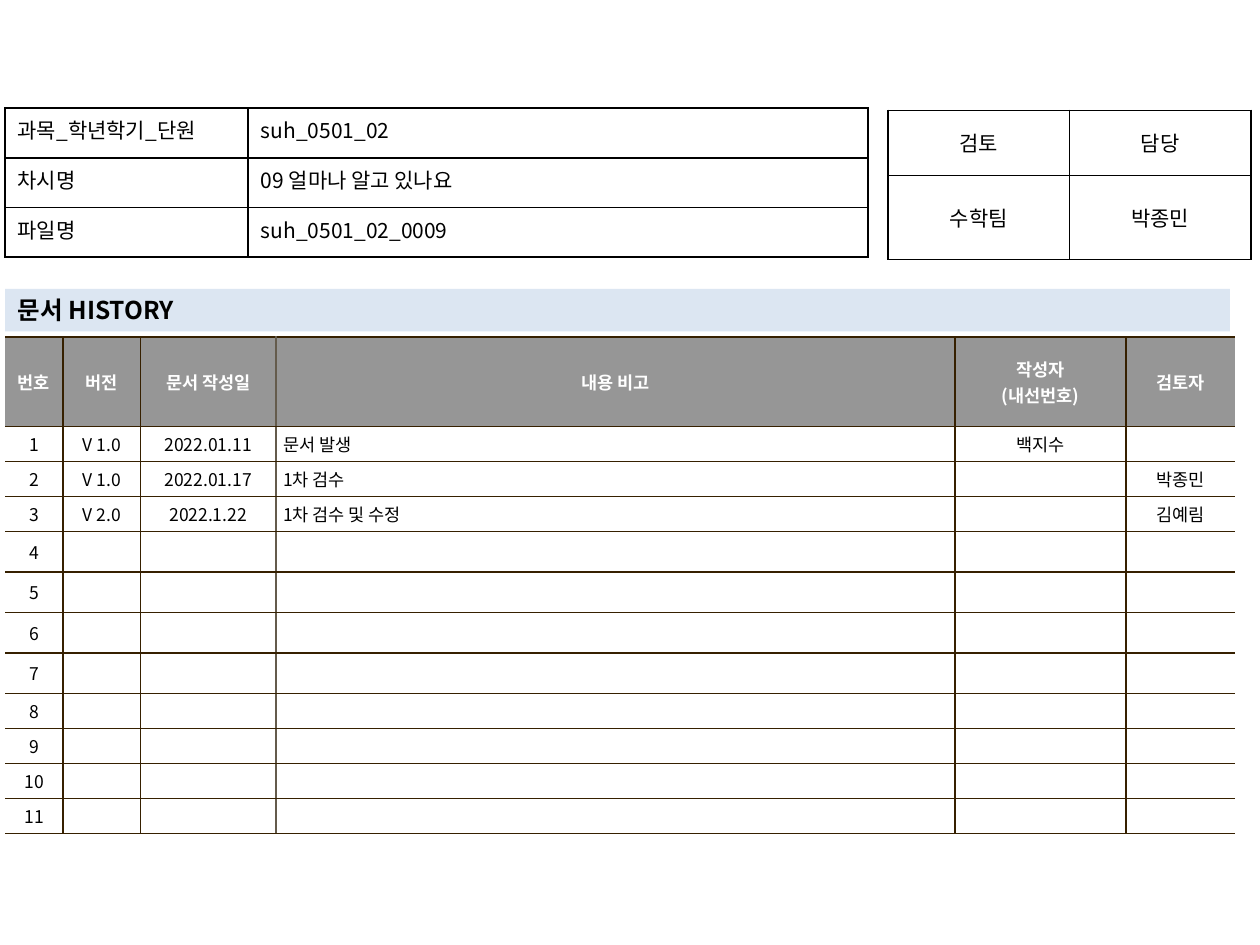
from dataclasses import dataclass

from lxml import etree
from pptx import Presentation
from pptx.dml.color import RGBColor
from pptx.enum import text
from pptx.oxml import ns
from pptx.util import Pt

ALIGN = text.PP_ALIGN
ANCHOR = text.MSO_ANCHOR


@dataclass(frozen=True)
class Theme:
    font: str = "Noto Sans CJK KR"
    ink: str = "000000"
    paper: str = "FFFFFF"
    header: str = "969696"
    band: str = "DCE6F2"
    rule: str = "362000"
    soft_rule: str = "645B4C"
    small: float = 10
    medium: float = 12
    large: float = 14


def set_values(target, values):
    for name, value in values.items():
        setattr(target, name, value)


class Sheet:
    def __init__(self, deck, theme):
        self.theme = theme
        self.page = deck.slides.add_slide(deck.slide_layouts[5])

    def fill_text(self, frame, words, size, color, bold, align):
        frame.text = words
        for para in frame.paragraphs:
            para.alignment = align
            for span in para.runs:
                set_values(span.font, {"size": Pt(size), "bold": bold})
                span.font.color.rgb = RGBColor.from_string(color)
                span.font.name = self.theme.font
                latin = span.font._element.find(ns.qn("a:latin"))
                east = etree.Element(ns.qn("a:ea"), typeface=self.theme.font)
                latin.addnext(east)
            if not para.runs:
                etree.SubElement(para._p, ns.qn("a:endParaRPr"), sz=str(int(size * 100)))

    def heading(self, words, left, top, width, height):
        box = self.page.shapes.title
        set_values(box, {"left": Pt(left), "top": Pt(top),
                         "width": Pt(width), "height": Pt(height)})
        box.fill.solid()
        box.fill.fore_color.rgb = RGBColor.from_string(self.theme.band)
        set_values(box.text_frame, {"auto_size": text.MSO_AUTO_SIZE.NONE,
                                    "word_wrap": True,
                                    "vertical_anchor": ANCHOR.MIDDLE})
        self.fill_text(box.text_frame, words, self.theme.large, self.theme.ink, True, ALIGN.LEFT)

    def grid(self, left, top, widths, heights):
        frame = self.page.shapes.add_table(len(heights), len(widths), Pt(left), Pt(top),
                                           Pt(sum(widths)), Pt(sum(heights)))
        table = frame.table
        set_values(table, {"first_row": False, "horz_banding": False})
        for column, width in zip(table.columns, widths):
            column.width = Pt(width)
        for row, height in zip(table.rows, heights):
            row.height = Pt(height)
        return table

    def cell(self, cell, words, size, color, align, anchor=ANCHOR.MIDDLE,
             fill=None, bold=False, margins=(7.2, 3.6)):
        side, end = map(Pt, margins)
        set_values(cell, {"margin_left": side, "margin_right": side,
                          "margin_top": end, "margin_bottom": end,
                          "vertical_anchor": anchor})
        if fill:
            cell.fill.solid()
            cell.fill.fore_color.rgb = RGBColor.from_string(fill)
        else:
            cell.fill.background()
        self.fill_text(cell.text_frame, words, size, color, bold, align)

    def borders(self, cell, left, right, rule):
        properties = cell._tc.get_or_add_tcPr()
        sides = {"L": left, "R": right, "T": rule, "B": rule}
        for index, (side, color) in enumerate(sides.items()):
            line = etree.Element(ns.qn(f"a:ln{side}"), w=str(Pt(1)))
            if color:
                solid = etree.SubElement(line, ns.qn("a:solidFill"))
                etree.SubElement(solid, ns.qn("a:srgbClr"), val=color)
            else:
                etree.SubElement(line, ns.qn("a:noFill"))
            properties.insert(index, line)

    def form(self, left, top, widths, heights, rows, aligns, anchor):
        ink = self.theme.ink
        table = self.grid(left, top, widths, heights)
        for y, row in enumerate(rows):
            for x, words in enumerate(row):
                cell = table.cell(y, x)
                self.cell(cell, words, self.theme.medium, ink, aligns[x], anchor)
                self.borders(cell, ink, ink, ink)

    def history(self, left, top, widths, heights, rows, note_column):
        theme = self.theme
        table = self.grid(left, top, widths, heights)
        rules = [None] + [theme.rule] * (len(widths) - 1) + [None]
        rules[note_column] = theme.soft_rule
        for y, row in enumerate(rows):
            is_header = y == 0
            fill, color = (theme.header, theme.paper) if is_header else (theme.paper, theme.ink)
            for x, words in enumerate(row):
                is_note = x == note_column and not is_header
                align = ALIGN.LEFT if is_note else ALIGN.CENTER
                cell = table.cell(y, x)
                self.cell(cell, words, theme.small, color, align,
                          fill=fill, bold=is_header, margins=(4.2, 2.6))
                self.borders(cell, rules[x], rules[x + 1], theme.rule)


def main():
    deck = Presentation()
    set_values(deck, {"slide_width": Pt(720), "slide_height": Pt(540)})
    sheet = Sheet(deck, Theme())

    entries = [
        ["V 1.0", "2022.01.11", "문서 발생", "백지수", ""],
        ["V 1.0", "2022.01.17", "1차 검수", "", "박종민"],
        ["V 2.0", "2022.1.22", "1차 검수 및 수정", "", "김예림"],
    ]
    entries += [[""] * 5] * 8
    history = [["번호", "버전", "문서 작성일", "내용 비고", "작성자\n(내선번호)", "검토자"]]
    history += [[str(number), *entry] for number, entry in enumerate(entries, 1)]
    heights = [51] + [20] * 3 + [23.2] * 4 + [20] * 4
    sheet.history(2.9, 192.7, [33.1, 44.2, 77.5, 388, 97.8, 62.4], heights, history, 3)

    sheet.form(507.5, 63.1, [103.7] * 2, [37.1, 48],
               [["검토", "담당"], ["수학팀", "박종민"]],
               [ALIGN.CENTER] * 2, ANCHOR.MIDDLE)
    sheet.heading("문서 HISTORY", 2.9, 165.1, 700, 24.3)
    sheet.form(2.9, 61.8, [138.9, 354.3], [28.4] * 3,
               [["과목_학년학기_단원", "suh_0501_02"],
                ["차시명", "09 얼마나 알고 있나요"],
                ["파일명", "suh_0501_02_0009"]],
               [ALIGN.JUSTIFY, ALIGN.LEFT], ANCHOR.TOP)
    deck.save("out.pptx")


if __name__ == "__main__":
    main()
